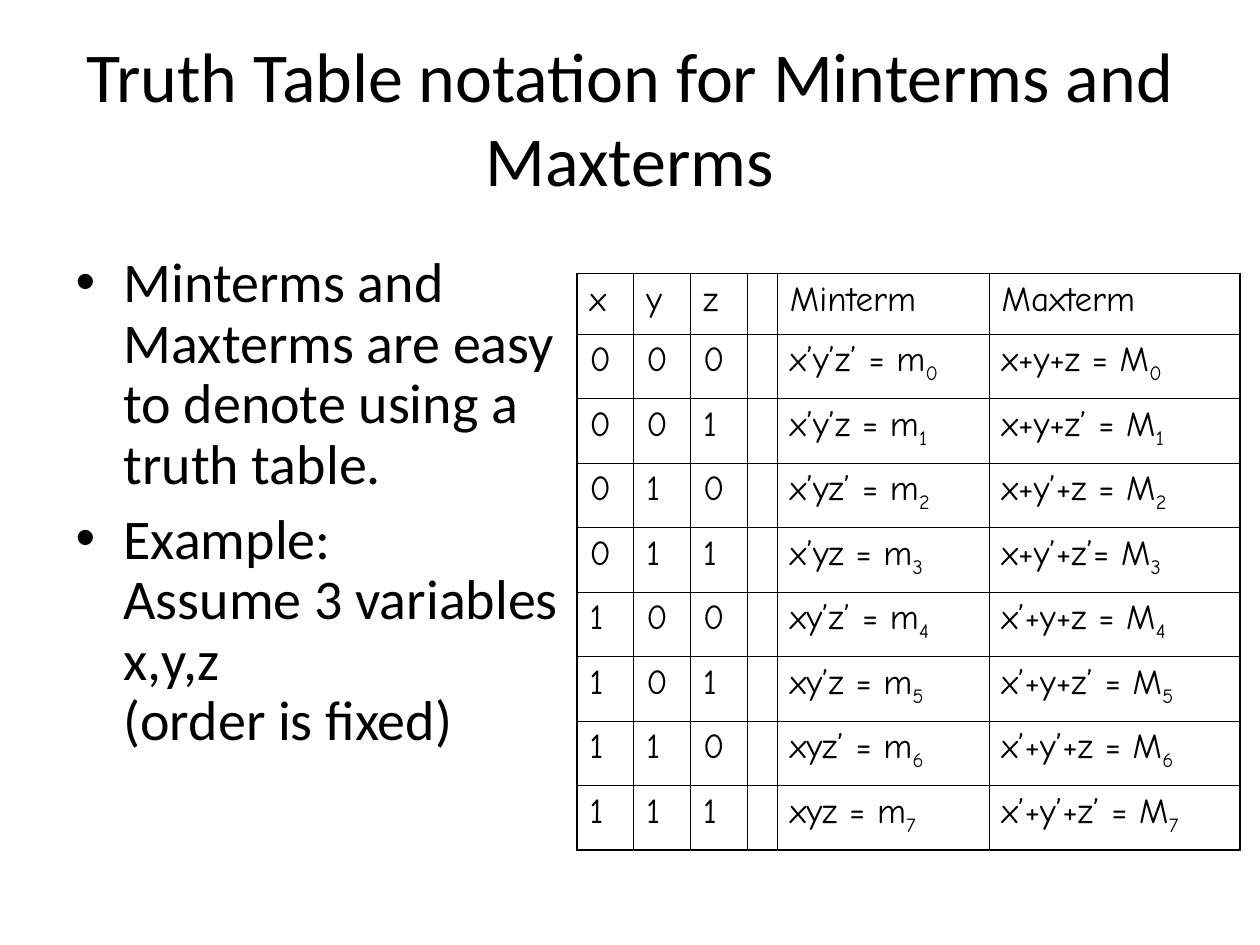
from dataclasses import dataclass
from itertools import product

from lxml.etree import SubElement
from pptx import Presentation
from pptx.dml.color import RGBColor
from pptx.enum.text import MSO_ANCHOR as Anchor, MSO_AUTO_SIZE as AutoSize, PP_ALIGN as Align
from pptx.oxml.ns import qn
from pptx.util import Inches, Pt


@dataclass(frozen=True)
class Theme:
    ink: RGBColor = RGBColor(0, 0, 0)
    text_font: str = "Calibri"
    table_font: str = "Comic Neue"
    title_size: float = 40
    body_size: float = 32
    table_size: float = 20
    inner_line: float = 0.45
    outer_line: float = 1.08


class SlideBuilder:
    def __init__(self, slide, theme):
        self.slide = slide
        self.theme = theme

    def style(self, paragraph, family, size):
        paragraph.font.name = family
        paragraph.font.size = Pt(size)
        paragraph.font.color.rgb = self.theme.ink

    def place(self, placeholder, box):
        placeholder.left, placeholder.top, placeholder.width, placeholder.height = map(Inches, box)
        frame = placeholder.text_frame
        frame.word_wrap = True
        frame.auto_size = AutoSize.NONE
        return frame

    def title(self, text, box):
        frame = self.place(self.slide.shapes.title, box)
        frame.vertical_anchor = Anchor.MIDDLE
        heading = frame.paragraphs[0]
        heading.text = text
        heading.alignment = Align.CENTER
        self.style(heading, self.theme.text_font, self.theme.title_size)

    def bullets(self, points, box):
        frame = self.place(self.slide.placeholders[1], box)
        for index, text in enumerate(points):
            point = frame.add_paragraph() if index else frame.paragraphs[0]
            point.text = text
            point.line_spacing = 0.9
            point.space_before = Pt(8 if index else 0)
            properties = point._p.get_or_add_pPr()
            properties.set("marL", str(Inches(0.38)))
            properties.set("indent", str(-Inches(0.38)))
            SubElement(properties, qn("a:buFont"), typeface="Arial")
            SubElement(properties, qn("a:buChar"), char="•")
            self.style(point, self.theme.text_font, self.theme.body_size)

    def borders(self, cell, outer_sides):
        properties = cell._tc.get_or_add_tcPr()
        for side in "LRTB":
            width = self.theme.outer_line if side in outer_sides else self.theme.inner_line
            line = SubElement(properties, qn(f"a:ln{side}"), w=str(Pt(width)))
            fill = SubElement(line, qn("a:solidFill"))
            SubElement(fill, qn("a:srgbClr"), val=str(self.theme.ink))

    def cell_text(self, cell, text, subscript=""):
        entry = cell.text_frame.paragraphs[0]
        self.style(entry, self.theme.table_font, self.theme.table_size)
        if text:
            entry.add_run().text = text
        if subscript:
            index = entry.add_run()
            index.text = subscript
            index._r.get_or_add_rPr().set("baseline", "-25000")

    def table(self, rows, left, top, widths, heights):
        last_row, last_column = len(rows) - 1, len(widths) - 1
        grid = self.slide.shapes.add_table(
            len(rows), len(widths), Inches(left), Inches(top),
            Inches(sum(widths)), Inches(sum(heights))).table
        grid.first_row = grid.horz_banding = False
        for column, width in zip(grid.columns, widths):
            column.width = Inches(width)
        for row, height in zip(grid.rows, heights):
            row.height = Inches(height)
        for r, row in enumerate(rows):
            for c, content in enumerate(row):
                cell = grid.cell(r, c)
                edges = {"L": c == 0, "R": c == last_column, "T": r == 0, "B": r == last_row}
                self.borders(cell, [side for side, is_outer in edges.items() if is_outer])
                cell.fill.background()
                self.cell_text(cell, *content)


def truth_table():
    variables = "xyz"
    rows = [[(name,) for name in (*variables, "", "Minterm", "Maxterm")]]
    for index, bits in enumerate(product((0, 1), repeat=len(variables))):
        minterm = "".join(v if bit else v + "’" for v, bit in zip(variables, bits))
        maxterm = "+".join(v + "’" if bit else v for v, bit in zip(variables, bits))
        equals = "= " if index == 3 else " = "
        rows.append([
            *((str(bit),) for bit in bits),
            ("",),
            (minterm + " = m", str(index)),
            (maxterm + equals + "M", str(index)),
        ])
    return rows


def main():
    deck = Presentation()
    deck.slide_width, deck.slide_height = Inches(10), Inches(7.5)
    builder = SlideBuilder(deck.slides.add_slide(deck.slide_layouts[1]), Theme())
    builder.title("Truth Table notation for Minterms and Maxterms", (0.5, 0.3, 9, 1.25))
    builder.bullets(
        ["Minterms and Maxterms are easy to denote using a truth table.",
         "Example: \vAssume 3 variables x,y,z \v(order is fixed)"],
        (0.5, 1.97, 4.32, 4.95))
    rows = truth_table()
    header_height, table_height = 0.48, 4.58
    row_height = (table_height - header_height) / (len(rows) - 1)
    builder.table(
        rows, 4.58, 2.17,
        widths=[0.45] * 3 + [0.24, 1.68, 1.99],
        heights=[header_height] + [row_height] * (len(rows) - 1))
    deck.save("out.pptx")


if __name__ == "__main__":
    main()
